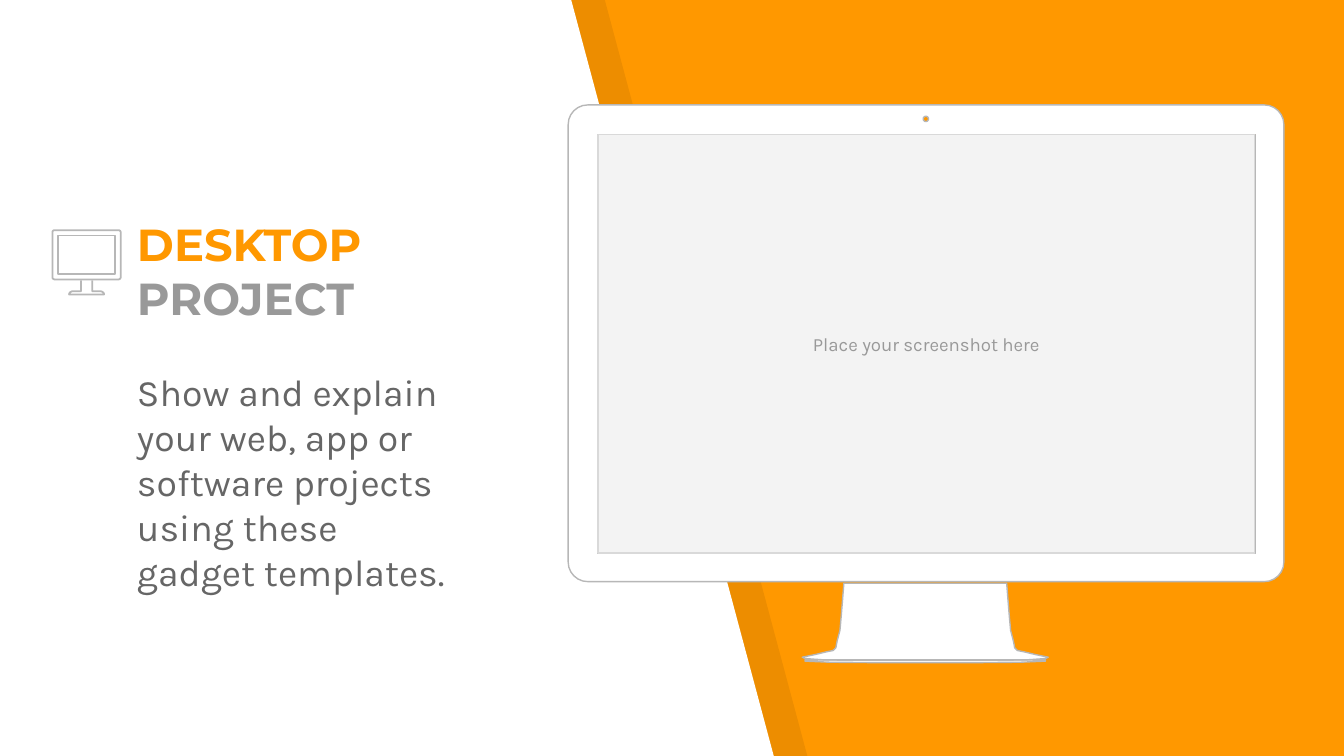
"""Build a desktop project slide with a monitor mock-up and an icon."""
from math import cos, radians, sin

from lxml import etree
from pptx import Presentation
from pptx.dml.color import RGBColor
from pptx.enum.shapes import MSO_SHAPE
from pptx.enum.text import MSO_ANCHOR, MSO_AUTO_SIZE, PP_ALIGN
from pptx.oxml.ns import qn
from pptx.util import Pt

RECTANGLE = MSO_SHAPE.RECTANGLE
TOP, MIDDLE, BOTTOM = MSO_ANCHOR.TOP, MSO_ANCHOR.MIDDLE, MSO_ANCHOR.BOTTOM
LEFT, CENTER = PP_ALIGN.LEFT, PP_ALIGN.CENTER
NO_AUTOFIT = MSO_AUTO_SIZE.NONE

WIDTH, HEIGHT = 720, 405
ORANGE, WHITE, BLACK = "FF9800", "FFFFFF", "000000"
OUTLINE, GREY = "B7B7B7", "999999"

TITLE = [("DESKTOP", ORANGE), (" PROJECT", GREY)]
BODY = [("Show and explain your web, app or software projects "
         "using these gadget templates.", "666666")]
SCREEN_NOTE = [("Place your screenshot here", GREY)]

TITLE_BOX = (66.2, 142.6, 247.7, 38.2)
BODY_BOX = (66.2, 190.8, 183.6, 177.8)
SCREEN_BOX = (320.4, 72, 351.6, 224.4)

PANEL = [(0, 0), (0, HEIGHT), (414.5, HEIGHT), (306, 0)]
SHADE_SHIFT = 18

MONITOR_CENTER = 496
NECK_HALF = [(43.6, 312.5), (44.3, 321.1), (45, 329.8), (45.7, 337.7),
             (47.2, 343.4), (47.9, 347), (49.3, 348.5), (52.9, 349.2),
             (58.7, 350.6), (65.9, 352.1), (64.4, 352.8), (54.4, 353.5),
             (41.4, 353.7)]
FOOT_HALF = [(64.4, 353.5), (64.4, 354.2), (50.8, 354.8), (24.8, 355)]

ICON_CENTER = 46.4
ICON_STAND_HALF = [(3, 150.2), (3, 156), (7.6, 156), (8.6, 156.4),
                   (9.2, 157), (9.4, 157.7)]


def color(hex_text):
    """Turn a hex string into a colour."""
    return RGBColor.from_string(hex_text)


def rounded(left, top, right, bottom, radius=0):
    """Return the points of a rectangle with rounded corners."""
    corners = [(right - radius, bottom - radius, 0), (left + radius, bottom - radius, 90),
               (left + radius, top + radius, 180), (right - radius, top + radius, 270)]
    return [(x + radius * cos(radians(start + turn)), y + radius * sin(radians(start + turn)))
            for x, y, start in corners
            for turn in (range(0, 91, 15) if radius else (0,))]


def mirrored(half, center):
    """Return a left half outline followed by its mirror image."""
    return ([(center - x, y) for x, y in half]
            + [(center + x, y) for x, y in reversed(half)])


def paint(shape, fill=None, line=None, weight=0.75, alpha=None):
    """Set the fill and line of a shape and drop its shadow."""
    shape.shadow.inherit = False
    if fill:
        shape.fill.solid()
        shape.fill.fore_color.rgb = color(fill)
    else:
        shape.fill.background()
    if alpha:
        tone = shape.fill._xPr.find(".//" + qn("a:srgbClr"))
        etree.SubElement(tone, qn("a:alpha")).set("val", str(alpha * 1000))
    if line:
        shape.line.color.rgb = color(line)
        shape.line.width = Pt(weight)
    else:
        shape.line.fill.background()


def outline(shapes, contours, closed=True, **style):
    """Draw one freeform out of one or more contours."""
    builder = None
    for contour in contours:
        start, *rest = [(Pt(x), Pt(y)) for x, y in contour]
        if builder is None:
            builder = shapes.build_freeform(*start, scale=1.0)
        else:
            builder.move_to(*start)
        builder.add_line_segments(rest, close=closed)
    paint(builder.convert_to_shape(), **style)


def write(box, spans, size, font, anchor, align=LEFT, bold=False):
    """Fill a text frame with one paragraph of coloured spans."""
    frame = box.text_frame
    frame.word_wrap = True
    frame.auto_size = NO_AUTOFIT
    frame.vertical_anchor = anchor
    frame.margin_left = frame.margin_right = Pt(7.2)
    frame.margin_top = frame.margin_bottom = Pt(7.2)
    para = frame.paragraphs[0]
    para.alignment = align
    para.space_before = Pt(0)
    para.font.size, para.font.name, para.font.bold = Pt(size), font, bold
    for text, tone in spans:
        span = para.add_run()
        span.text = text
        span.font.color.rgb = color(tone)
    return para


def place(box, bounds):
    """Move a placeholder to its bounds and bring it to the front."""
    box.left, box.top, box.width, box.height = map(Pt, bounds)
    box.element.getparent().append(box.element)


def main():
    """Compose and save the slide."""
    deck = Presentation()
    deck.slide_width, deck.slide_height = Pt(WIDTH), Pt(HEIGHT)
    page = deck.slides.add_slide(deck.slide_layouts[1])
    shapes = page.shapes
    page.background.fill.solid()
    page.background.fill.fore_color.rgb = color(ORANGE)

    shade = [(x + SHADE_SHIFT, y) for x, y in PANEL]
    outline(shapes, [shade], fill=BLACK, alpha=7)
    outline(shapes, [PANEL], fill=WHITE)

    left, top, width, height = SCREEN_BOX
    monitor = [
        rounded(304.4, 56.2, 687.8, 311.6, 10.5),
        rounded(left, top, left + width + 0.7, top + height),
        rounded(MONITOR_CENTER - 1.4, 62.3, MONITOR_CENTER + 1.4, 65.1, 1.4),
        mirrored(NECK_HALF, MONITOR_CENTER - 0.3),
        mirrored(FOOT_HALF, MONITOR_CENTER - 0.3),
    ]
    outline(shapes, monitor, fill=WHITE, line=OUTLINE)

    screen = shapes.add_shape(RECTANGLE, *map(Pt, SCREEN_BOX))
    paint(screen, fill="F3F3F3", line="D9D9D9")
    write(screen, SCREEN_NOTE, 10, "Karla", MIDDLE, CENTER)

    title, body = shapes.title, page.placeholders[1]
    place(title, TITLE_BOX)
    write(title, TITLE, 24, "Montserrat", BOTTOM, bold=True)
    place(body, BODY_BOX)
    para = write(body, BODY, 20, "Karla", TOP)
    settings = para._p.get_or_add_pPr()
    settings.set("marL", "0")
    settings.set("indent", "0")
    settings.find(qn("a:spcBef")).addnext(etree.Element(qn("a:buNone")))

    icon = shapes.add_group_shape().shapes
    outline(icon, [mirrored(ICON_STAND_HALF, ICON_CENTER)], closed=False,
            line=OUTLINE, weight=0.96)
    outline(icon, [rounded(28.1, 123.3, 64.7, 149.7, 1.2), rounded(31, 126.2, 61.7, 146.8)],
            line=OUTLINE, weight=0.96)

    deck.save("out.pptx")


if __name__ == "__main__":
    main()
